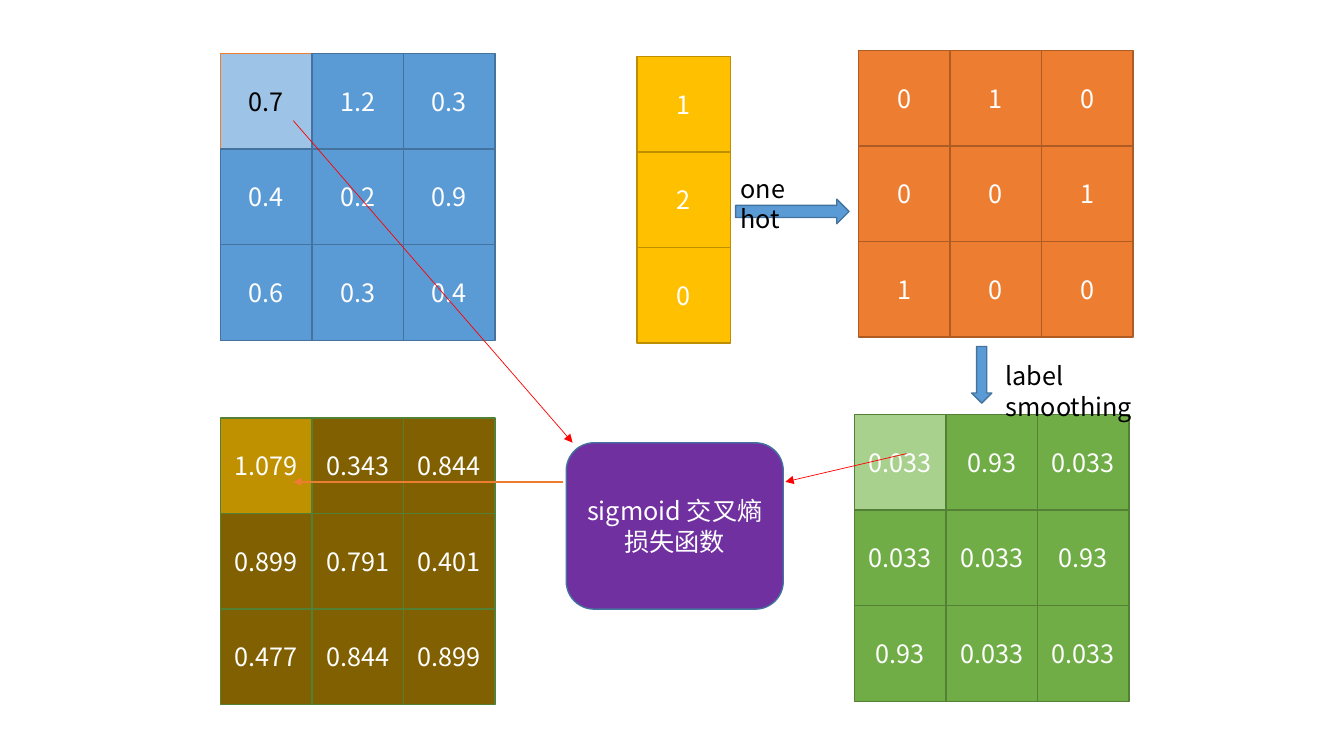
import pptx
import pptx.util
import pptx.dml.color
import pptx.enum.shapes
import pptx.enum.text
import pptx.oxml
import pptx.oxml.ns

Pt = pptx.util.Pt
KIND = pptx.enum.shapes.MSO_SHAPE
FONT = "Noto Sans CJK SC"
HUES = {
    "blue": "5B9BD5", "navy": "43739E", "sky": "9DC3E6",
    "gold": "FFC000", "amber": "BD8E00",
    "orange": "ED7D31", "rust": "AF5C24",
    "green": "70AD47", "moss": "538035", "mint": "A9D18E",
    "brown": "806000", "ochre": "BF9000",
    "purple": "7030A0", "red": "FF0000",
    "white": "FFFFFF", "black": "000000",
}


def hue(name):
    return pptx.dml.color.RGBColor.from_string(HUES[name])


def write(frame, text, color):
    frame.word_wrap = True
    frame.text = text
    for run in frame.paragraphs[0].runs:
        run.font.size = Pt(18)
        run.font.name = FONT
        run.font.color.rgb = hue(color)
        east = pptx.oxml.parse_xml(
            f'<a:ea {pptx.oxml.ns.nsdecls("a")} typeface="{FONT}"/>')
        run.font._element.find(pptx.oxml.ns.qn("a:latin")).addnext(east)


def block(slide, kind, box, fill, edge, text="", color="white"):
    """Draw a filled preset shape with centred text."""
    shape = slide.shapes.add_shape(kind, *map(Pt, box))
    shape.shadow.inherit = False
    shape.fill.solid()
    shape.fill.fore_color.rgb = hue(fill)
    shape.line.color.rgb = hue(edge)
    shape.line.width = Pt(1)
    if text:
        write(shape.text_frame, text, color)
        shape.text_frame.vertical_anchor = pptx.enum.text.MSO_ANCHOR.MIDDLE
        shape.text_frame.paragraphs[0].alignment = pptx.enum.text.PP_ALIGN.CENTER


def matrix(slide, box, rows, fill, edge, first=None):
    """Fill the box with equal cells; first holds fill, edge and text colour of the top left one."""
    left, top, width, height = box
    wide, high = width / len(rows[0]), height / len(rows)
    for r, row in enumerate(rows):
        for c, value in enumerate(row):
            look = first if first and r == c == 0 else (fill, edge, "white")
            cell = (left + c * wide, top + r * high, wide, high)
            block(slide, KIND.RECTANGLE, cell, look[0], look[1], value, look[2])


def label(slide, box, text):
    note = slide.shapes.add_textbox(*map(Pt, box))
    write(note.text_frame, text, "black")
    note.text_frame.auto_size = pptx.enum.text.MSO_AUTO_SIZE.SHAPE_TO_FIT_TEXT


def arrow(slide, start, end, color, width):
    line = slide.shapes.add_connector(
        pptx.enum.shapes.MSO_CONNECTOR.STRAIGHT, *map(Pt, start + end))
    line.line.color.rgb = hue(color)
    line.line.width = Pt(width)
    names = pptx.oxml.ns.nsdecls("a")
    line.line._get_or_add_ln().append(
        pptx.oxml.parse_xml(f'<a:tailEnd {names} type="triangle"/>'))
    line._element.spPr.append(pptx.oxml.parse_xml(f"<a:effectLst {names}/>"))


def inputs(slide):
    """Scores, class indices and their one-hot rows."""
    matrix(slide, (157.5, 38.2, 196, 204.9),
           [["0.7", "1.2", "0.3"], ["0.4", "0.2", "0.9"], ["0.6", "0.3", "0.4"]],
           "blue", "navy", ("sky", "orange", "black"))
    matrix(slide, (455, 40.5, 67, 204.5), [["1"], ["2"], ["0"]], "gold", "amber")
    matrix(slide, (613.2, 36, 196, 204.7),
           [["0", "1", "0"], ["0", "0", "1"], ["1", "0", "0"]], "orange", "rust")
    block(slide, KIND.RIGHT_ARROW, (525.5, 142.3, 81, 17.5), "blue", "navy")
    label(slide, (522, 120.2, 77, 29), "one hot")


def outputs(slide):
    """Smoothed labels, loss function and loss values."""
    matrix(slide, (610.4, 296, 196, 204.9),
           [["0.033", "0.93", "0.033"], ["0.033", "0.033", "0.93"],
            ["0.93", "0.033", "0.033"]],
           "green", "moss", ("mint", "moss", "white"))
    matrix(slide, (157.5, 298.5, 196, 204.7),
           [["1.079", "0.343", "0.844"], ["0.899", "0.791", "0.401"],
            ["0.477", "0.844", "0.899"]],
           "brown", "moss", ("ochre", "moss", "white"))
    block(slide, KIND.ROUNDED_RECTANGLE, (404.5, 316.3, 155, 118.8),
          "purple", "navy", "sigmoid 交叉熵损失函数")


def flow(slide):
    """Links between the matrices and the loss function."""
    arrow(slide, (209.5, 86.2), (409, 316.2), "red", 0.5)
    arrow(slide, (647.5, 324), (561, 344.2), "red", 0.5)
    arrow(slide, (402.5, 344.2), (209.5, 344.2), "orange", 1.5)
    label(slide, (711.2, 254, 149.7, 29), "label smoothing")
    block(slide, KIND.DOWN_ARROW, (694, 247.5, 14.5, 40.5), "blue", "navy")


def main():
    deck = pptx.Presentation()
    deck.slide_width, deck.slide_height = Pt(960), Pt(540)
    slide = deck.slides.add_slide(deck.slide_layouts[6])
    inputs(slide)
    outputs(slide)
    flow(slide)
    deck.save("out.pptx")


if __name__ == "__main__":
    main()
